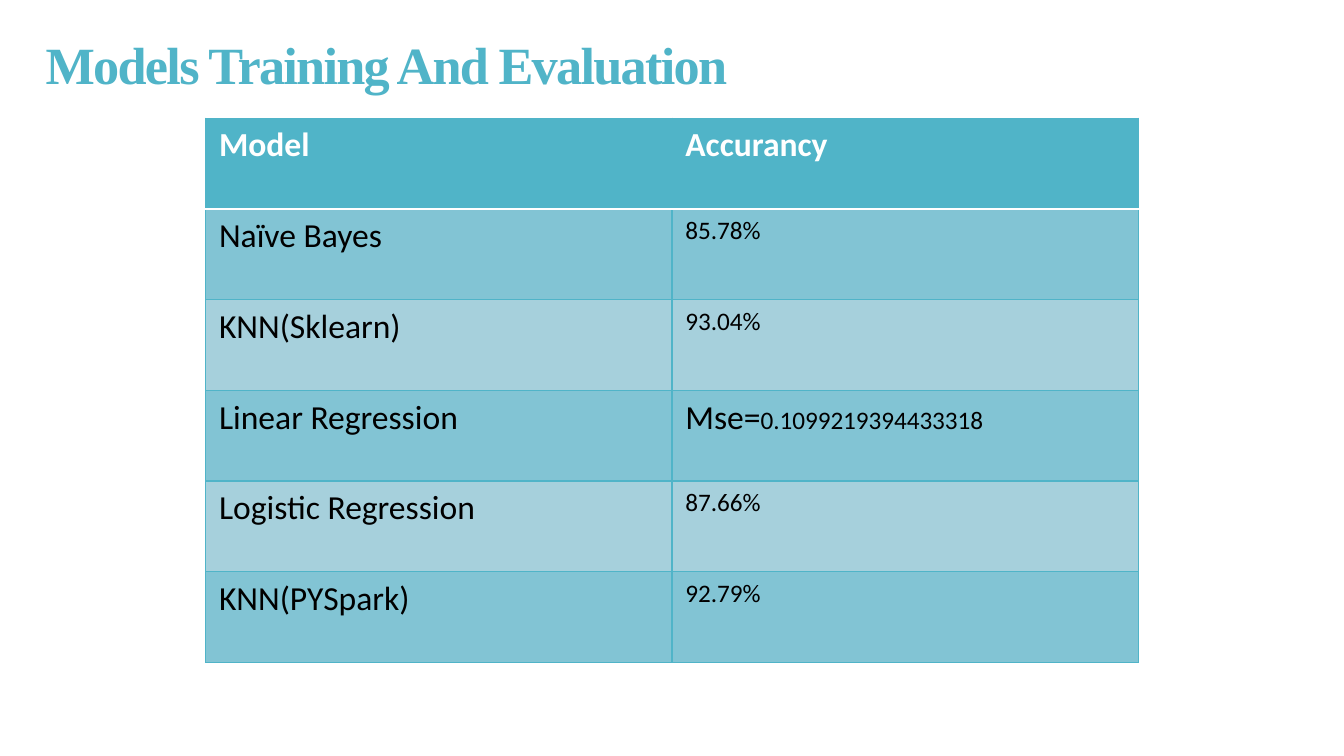
"""Build the slide that lists the models and their accuracy."""
import lxml.etree
import pptx
import pptx.dml.color
import pptx.enum.text
import pptx.oxml.ns
import pptx.util

TEAL = "50B4C8"
WHITE = "FFFFFF"
BANDS = ("A6D0DC", "82C4D4")
LARGE, SMALL = 18, 13.5
ROWS = [
    ("Model", [("Accurancy", LARGE)]),
    ("Naïve Bayes", [("85.78%", SMALL)]),
    ("KNN(Sklearn)", [("93.04%", SMALL)]),
    ("Linear Regression", [("Mse=", LARGE), ("0.1099219394433318", SMALL)]),
    ("Logistic Regression", [("87.66%", SMALL)]),
    ("KNN(PYSpark)", [("92.79%", SMALL)]),
]


def color(value):
    """Turn a hex string into a colour."""
    return pptx.dml.color.RGBColor.from_string(value)


def apply_format(target, values):
    """Set every attribute named in a dict."""
    for name, value in values.items():
        setattr(target, name, value)


def add_span(para, text, size, fill, bold=False, name="Calibri"):
    """Add a formatted run to a paragraph."""
    span = para.add_run()
    span.text = text
    apply_format(span.font, {"name": name, "size": pptx.util.Pt(size), "bold": bold})
    span.font.color.rgb = color(fill)
    return span


def add_border(cell, side, value, width):
    """Draw one side of a cell's border."""
    qn = pptx.oxml.ns.qn
    properties = cell._tc.get_or_add_tcPr()
    line = lxml.etree.SubElement(properties, qn(f"a:ln{side}"), w=str(pptx.util.Pt(width)))
    solid = lxml.etree.SubElement(line, qn("a:solidFill"))
    lxml.etree.SubElement(solid, qn("a:srgbClr"), val=value)


def fill_cell(cell, spans, row):
    """Write, border and fill one table cell."""
    header = row == 0
    white_side = {0: "B", 1: "T"}.get(row)
    for side in "LRTB":
        border = (WHITE, 1) if side == white_side else (TEAL, 0.75)
        add_border(cell, side, *border)
    cell.fill.solid()
    cell.fill.fore_color.rgb = color(TEAL if header else BANDS[row % 2])
    for text, size in spans:
        add_span(cell.text_frame.paragraphs[0], text, size,
                 WHITE if header else "000000", header)


def add_title(page, text):
    """Place the slide title."""
    inches = pptx.util.Inches
    box = page.shapes.title
    apply_format(box, {"left": inches(0.24), "top": inches(0.19),
                       "width": inches(6.84), "height": inches(0.57)})
    apply_format(box.text_frame, {
        "word_wrap": True,
        "auto_size": pptx.enum.text.MSO_AUTO_SIZE.SHAPE_TO_FIT_TEXT,
        "vertical_anchor": pptx.enum.text.MSO_ANCHOR.TOP,
    })
    para = box.text_frame.paragraphs[0]
    para.alignment = pptx.enum.text.PP_ALIGN.LEFT
    span = add_span(para, text, 28, TEAL, True, "Times New Roman")
    span._r.get_or_add_rPr().set("spc", "-90")


def add_accuracy_table(page):
    """Add the table of models and scores."""
    inches = pptx.util.Inches
    table = page.shapes.add_table(len(ROWS), 2, inches(1.53), inches(0.88),
                                  inches(6.94), inches(4.05)).table
    for row, (model, score) in enumerate(ROWS):
        fill_cell(table.cell(row, 0), [(model, LARGE)], row)
        fill_cell(table.cell(row, 1), score, row)


def main():
    """Create and save a widescreen deck."""
    deck = pptx.Presentation()
    width = pptx.util.Inches(10)
    apply_format(deck, {"slide_width": width, "slide_height": width * 9 // 16})
    page = deck.slides.add_slide(deck.slide_layouts[5])
    add_title(page, "Models Training And Evaluation")
    add_accuracy_table(page)
    deck.save("out.pptx")


if __name__ == "__main__":
    main()
